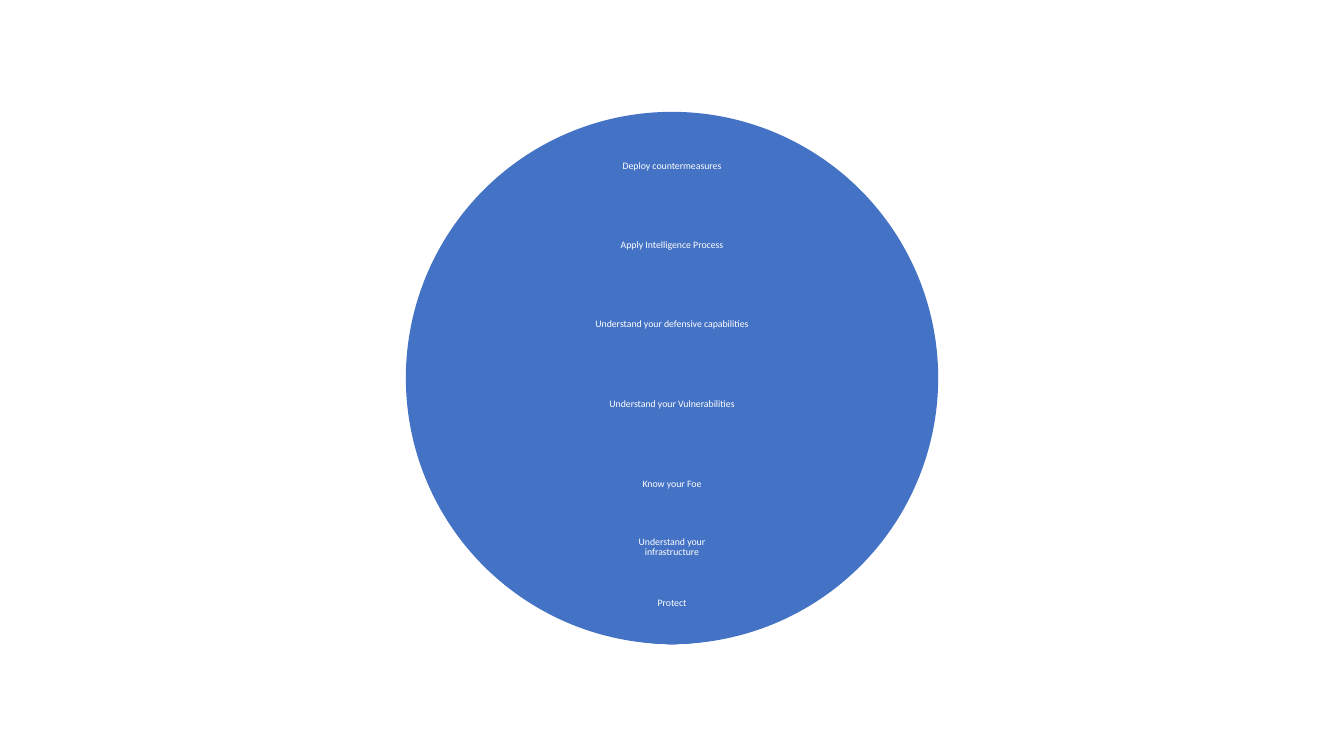
from typing import NamedTuple

from pptx import Presentation
from pptx.dml.color import RGBColor
from pptx.enum.shapes import MSO_SHAPE as Preset
from pptx.enum.text import MSO_ANCHOR as Anchor, PP_ALIGN as Align
from pptx.shapes.autoshape import Shape
from pptx.shapes.group import GroupShape
from pptx.slide import Slide
from pptx.util import Inches, Pt


class Theme(NamedTuple):
    ring: RGBColor = RGBColor(0x44, 0x72, 0xC4)
    text: RGBColor = RGBColor(0xFF, 0xFF, 0xFF)
    font: str = "Calibri"
    size: float = 7


class Ring(NamedTuple):
    """A circle and its label, measured in percent of the slide height."""
    text: str
    diameter: float
    label_drop: float
    label_width: float
    label_height: float


THEME = Theme()
SLIDE_WIDTH, SLIDE_HEIGHT = Inches(13.33), Inches(7.5)
RINGS_BOTTOM = 85.2
RINGS = (
    Ring("Deploy countermeasures", 70.4, 3.6, 26.4, 7.07),
    Ring("Apply Intelligence Process", 59.73, 3.47, 25.73, 6.93),
    Ring("Understand your defensive capabilities", 49.2, 3.47, 25.47, 6.8),
    Ring("Understand your Vulnerabilities", 38.67, 3.47, 20.93, 6.93),
    Ring("Know your Foe", 28.13, 3.47, 18.27, 7.07),
    Ring("Understand your infrastructure", 17.6, 2.67, 12, 4.27),
    Ring("Protect", 10.53, 2.53, 7.47, 5.33),
)
FRAME_FORMAT = {
    "word_wrap": True,
    "vertical_anchor": Anchor.MIDDLE,
    **{f"margin_{side}": Inches(0.05) for side in ("left", "top", "right", "bottom")},
}
PARAGRAPH_FORMAT = {
    "alignment": Align.CENTER,
    "line_spacing": 0.9,
    "space_after": Pt(0.35 * THEME.size),
}
FONT_FORMAT = {"name": THEME.font, "size": Pt(THEME.size)}


def apply_format(target: object, values: dict) -> None:
    for name, value in values.items():
        setattr(target, name, value)


def share(percent: float) -> int:
    return round(SLIDE_HEIGHT * percent / 100)


def add_centred(group: GroupShape, preset: Preset, top: float,
                width: float, height: float) -> Shape:
    """Add a plain filled shape on the slide's vertical centre line."""
    left = (SLIDE_WIDTH - share(width)) // 2
    shape = group.shapes.add_shape(preset, left, share(top), share(width), share(height))
    shape.shadow.inherit = False
    shape.fill.solid()
    shape.fill.fore_color.rgb = THEME.ring
    shape.line.fill.background()
    return shape


def write_label(label: Shape, text: str) -> None:
    frame = label.text_frame
    apply_format(frame, FRAME_FORMAT)
    paragraph = frame.paragraphs[0]
    apply_format(paragraph, PARAGRAPH_FORMAT)
    run = paragraph.add_run()
    run.text = text
    apply_format(run.font, FONT_FORMAT)
    run.font.color.rgb = THEME.text


def add_ring(slide: Slide, ring: Ring) -> None:
    group = slide.shapes.add_group_shape()
    top = RINGS_BOTTOM - ring.diameter
    add_centred(group, Preset.OVAL, top, ring.diameter, ring.diameter)
    label = add_centred(group, Preset.RECTANGLE, top + ring.label_drop,
                        ring.label_width, ring.label_height)
    write_label(label, ring.text)


def main() -> None:
    presentation = Presentation()
    presentation.slide_width, presentation.slide_height = SLIDE_WIDTH, SLIDE_HEIGHT
    slide = presentation.slides.add_slide(presentation.slide_layouts[6])
    for ring in RINGS:
        add_ring(slide, ring)
    presentation.save("out.pptx")


if __name__ == "__main__":
    main()
